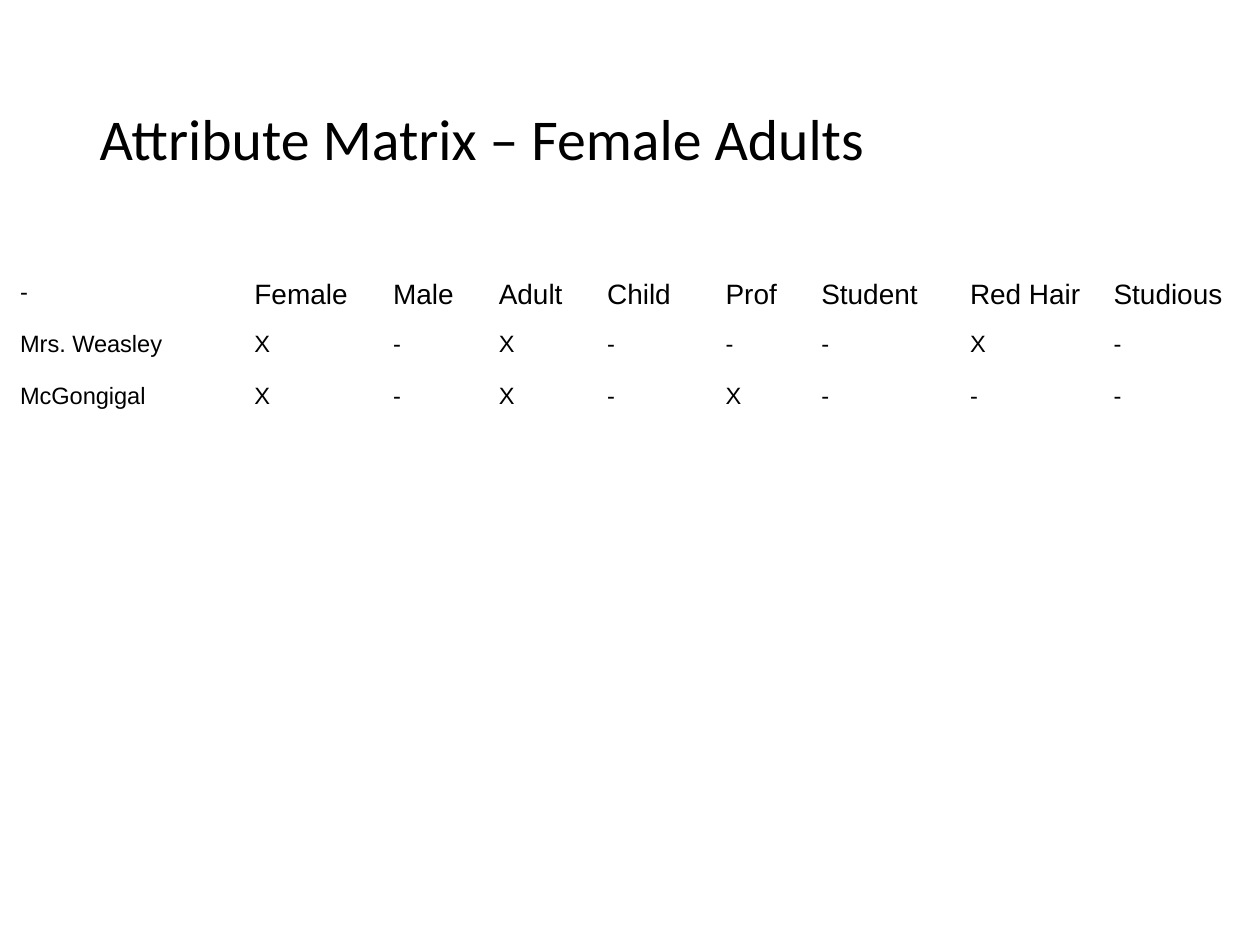
from dataclasses import dataclass
from pptx import Presentation
from pptx.dml.color import RGBColor
from pptx.enum.text import MSO_ANCHOR, PP_ALIGN
from pptx.util import Inches, Pt

WIDE, HIGH = 10, 7.5
ROW = 0.41
BLACK = "000000"


@dataclass
class Column:
    head: str
    width: float


@dataclass
class Person:
    name: str
    traits: set[str]


COLUMNS = [
    Column("-", 1.86),
    Column("Female", 1.1),
    Column("Male", 0.84),
    Column("Adult", 0.86),
    Column("Child", 0.94),
    Column("Prof", 0.76),
    Column("Student", 1.18),
    Column("Red Hair", 1.14),
    Column("Studious", 1.25),
]
PEOPLE = [
    Person("Mrs. Weasley", {"Female", "Adult", "Red Hair"}),
    Person("McGongigal", {"Female", "Adult", "Prof"}),
]


def color(code: str) -> RGBColor:
    return RGBColor.from_string(code)


def write(frame, text: str, *, size: float, font: str = "Arial",
          shade: str = BLACK, spacing: float = 1.0) -> None:
    line = frame.paragraphs[0]
    line.alignment = PP_ALIGN.LEFT
    line.line_spacing = spacing
    run = line.add_run()
    run.text = text
    run.font.size = Pt(size)
    run.font.name = font
    run.font.bold = False
    run.font.color.rgb = color(shade)


def draw_title(slide, text: str) -> None:
    title = slide.shapes.title
    title.left, title.top = Inches(WIDE * 0.069), Inches(HIGH * 0.053)
    title.width, title.height = Inches(WIDE * 0.862), Inches(HIGH * 0.193)
    title.text_frame.vertical_anchor = MSO_ANCHOR.MIDDLE
    write(title.text_frame, text, size=33, font="Calibri", spacing=0.9)


def draw_matrix(slide, columns: list[Column], people: list[Person]) -> None:
    heads = [column.head for column in columns]
    rows = [heads] + [
        [person.name] + ["X" if head in person.traits else "-" for head in heads[1:]]
        for person in people
    ]
    total = sum(column.width for column in columns)
    table = slide.shapes.add_table(
        len(rows), len(columns), Inches(0.06), Inches(2.17),
        Inches(total), Inches(ROW * len(rows))).table
    table.first_row = table.horz_banding = False
    for slot, column in zip(table.columns, columns):
        slot.width = Inches(column.width)
    for r, row in enumerate(rows):
        table.rows[r].height = Inches(ROW)
        for c, text in enumerate(row):
            cell = table.cell(r, c)
            cell.fill.background()
            write(cell.text_frame, text, size=16 if r == 0 and c > 0 else 13.5)


def main() -> None:
    deck = Presentation()
    deck.slide_width, deck.slide_height = Inches(WIDE), Inches(HIGH)
    slide = deck.slides.add_slide(deck.slide_layouts[5])
    draw_title(slide, "Attribute Matrix – Female Adults")
    draw_matrix(slide, COLUMNS, PEOPLE)
    deck.save("out.pptx")


if __name__ == "__main__":
    main()
